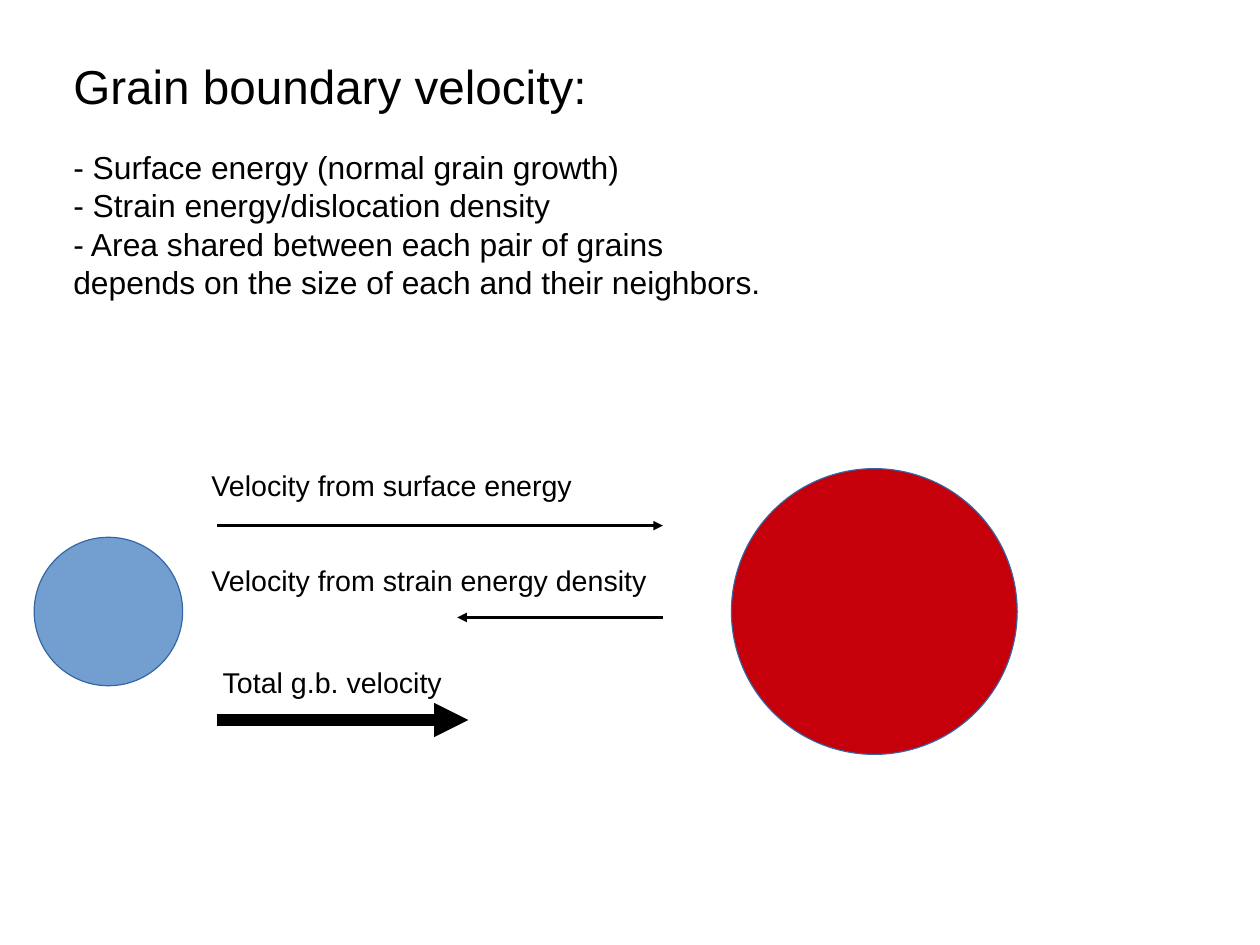
import pptx
import pptx.util
import pptx.dml.color
import pptx.enum.shapes
import pptx.enum.text
import pptx.oxml
import pptx.oxml.ns

Cm = pptx.util.Cm
Pt = pptx.util.Pt

COLORS = {"text": "000000", "small": "729FCF", "large": "C5000B", "outline": "3465A4"}
FONT = "Arial"
TITLE = "Grain boundary velocity:"
FACTORS = [
    "- Surface energy (normal grain growth)",
    "- Strain energy/dislocation density",
    "- Area shared between each pair of grains depends on the size of each "
    "and their neighbors.",
]

# All places and sizes below are in centimetres.
TITLE_BOX = (1.25, 1.02, 16.4, 1.72)
FACTORS_BOX = (1.25, 3.04, 16.4, 4.0)
GRAIN_MIDDLE = 13.59
GRAINS = [  # colour, centre x, diameter
    ("large", 19.43, 6.35),
    ("small", 2.41, 3.3),
]
LABEL_HEIGHT = 1.22
VELOCITIES = [  # label, (left, top, width), arrow (from x, to x, y), line points
    ("Velocity from surface energy", (4.32, 10.16, 8.76), (4.83, 14.73, 11.68), 0),
    ("Velocity from strain energy density", (4.32, 12.27, 10.41), (14.73, 10.16, 13.72), 0),
    ("Total g.b. velocity", (4.57, 14.53, 5.64), (4.83, 10.41, 16), 7.2),
]


def color(name):
    return pptx.dml.color.RGBColor.from_string(COLORS[name])


def place(box, bounds):
    box.left, box.top, box.width, box.height = (Cm(length) for length in bounds)


def write(box, lines, size, wrap=True):
    frame = box.text_frame
    frame.word_wrap = wrap
    frame.auto_size = pptx.enum.text.MSO_AUTO_SIZE.NONE
    frame.vertical_anchor = pptx.enum.text.MSO_ANCHOR.TOP
    frame.margin_left = frame.margin_right = Cm(0.38)
    frame.margin_top = frame.margin_bottom = Cm(0.25)
    for number, line in enumerate(lines):
        para = frame.add_paragraph() if number else frame.paragraphs[0]
        para.alignment = pptx.enum.text.PP_ALIGN.LEFT
        span = para.add_run()
        span.text = line
        span.font.name = FONT
        span.font.size = Pt(size)
        span.font.color.rgb = color("text")


def add_text(page, bounds, lines, size, wrap=True):
    box = page.shapes.add_textbox(*(Cm(length) for length in bounds))
    write(box, lines, size, wrap)


def add_grain(page, fill, center, diameter):
    grain = page.shapes.add_shape(
        pptx.enum.shapes.MSO_SHAPE.OVAL,
        Cm(center - diameter / 2), Cm(GRAIN_MIDDLE - diameter / 2),
        Cm(diameter), Cm(diameter))
    grain.shadow.inherit = False
    grain.fill.solid()
    grain.fill.fore_color.rgb = color(fill)
    grain.line.color.rgb = color("outline")
    grain.line.width = Pt(0)


def add_arrow(page, start, end, height, width):
    arrow = page.shapes.add_connector(
        pptx.enum.shapes.MSO_CONNECTOR.STRAIGHT,
        Cm(start), Cm(height), Cm(end), Cm(height))
    arrow.line.color.rgb = color("text")
    arrow.line.width = Pt(width)
    properties = arrow.element.spPr
    head = pptx.oxml.parse_xml(
        f'<a:tailEnd {pptx.oxml.ns.nsdecls("a")} type="triangle"/>')
    properties.find(pptx.oxml.ns.qn("a:ln")).append(head)
    properties.append(pptx.oxml.parse_xml(
        f'<a:effectLst {pptx.oxml.ns.nsdecls("a")}/>'))


def main():
    deck = pptx.Presentation()
    deck.slide_width, deck.slide_height = Cm(28), Cm(21)
    page = deck.slides.add_slide(deck.slide_layouts.get_by_name("Title Only"))

    place(page.shapes.title, TITLE_BOX)
    write(page.shapes.title, [TITLE], 30)
    add_text(page, FACTORS_BOX, FACTORS, 20)

    for grain in GRAINS:
        add_grain(page, *grain)
    for label, bounds, arrow, width in VELOCITIES:
        add_text(page, (*bounds, LABEL_HEIGHT), [label], 18, wrap=False)
        add_arrow(page, *arrow, width)

    deck.save("out.pptx")


if __name__ == "__main__":
    main()
